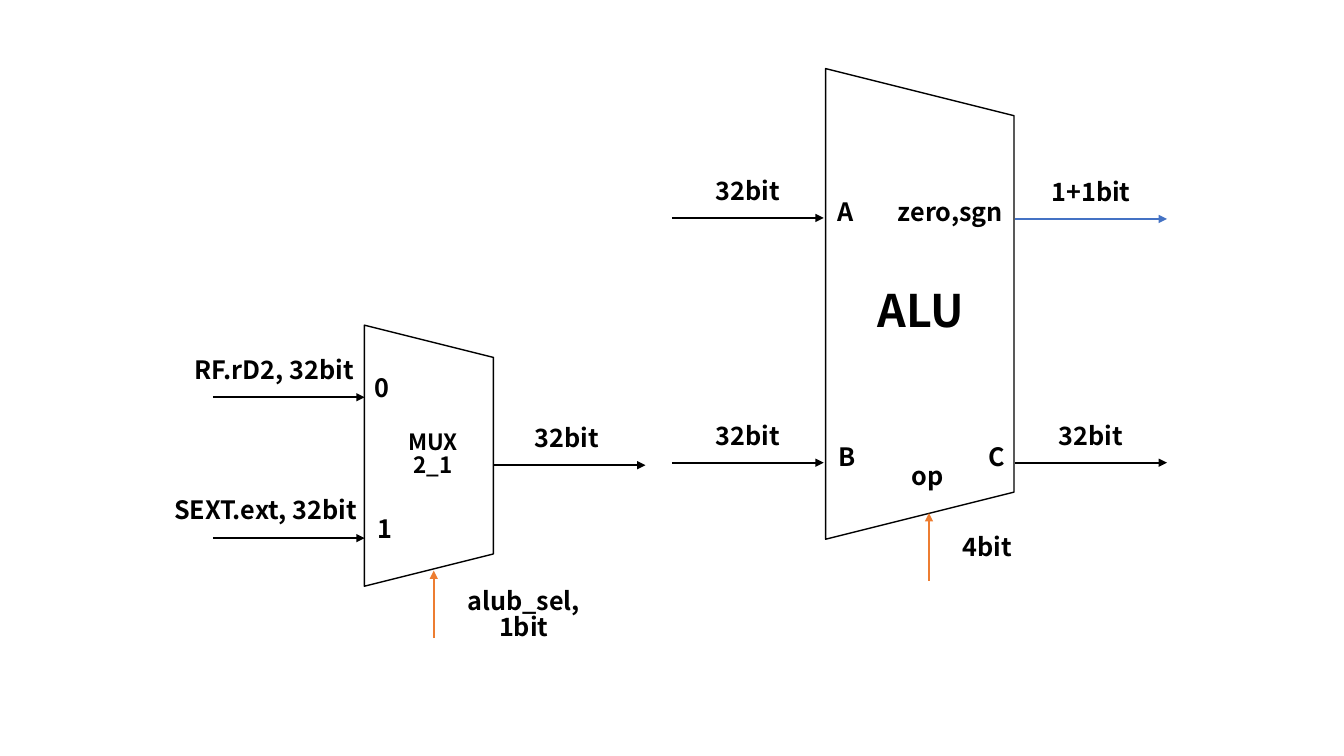
from lxml.etree import SubElement
from pptx import Presentation
from pptx.dml.color import RGBColor
from pptx.enum.shapes import MSO_CONNECTOR, MSO_SHAPE
from pptx.enum.text import MSO_AUTO_SIZE, PP_ALIGN
from pptx.oxml.ns import qn
from pptx.util import Pt

FONT = "Noto Sans CJK SC"
BLACK = RGBColor(0x00, 0x00, 0x00)
BLUE = RGBColor(0x44, 0x72, 0xC4)
ORANGE = RGBColor(0xED, 0x7D, 0x31)
LEFT, MID, RIGHT = PP_ALIGN.LEFT, PP_ALIGN.CENTER, PP_ALIGN.RIGHT
WIRE = 108.4  # length of a data wire
STEM = 48.2  # length of a control wire


def add_body(shapes, x, y, wide, high):
    """Draw a block outline: a trapezoid turned so its short side is right."""
    body = shapes.add_shape(
        MSO_SHAPE.TRAPEZOID, Pt(x), Pt(y), Pt(wide), Pt(high))
    body.rotation = 90
    body.shadow.inherit = False
    body.fill.background()
    body.line.color.rgb = BLACK
    body.line.width = Pt(1)


def add_label(shapes, text, x, y, wide, align=MID, size=18, high=28.8):
    """Write bold text, one paragraph per line of the string."""
    box = shapes.add_textbox(Pt(x), Pt(y), Pt(wide), Pt(high))
    frame = box.text_frame
    frame.word_wrap = True
    frame.auto_size = MSO_AUTO_SIZE.SHAPE_TO_FIT_TEXT
    frame.text = text
    for para in frame.paragraphs:
        para.alignment = align
        para.line_spacing = 0.84
        para.font.name = FONT
        para.font.size = Pt(size)
        para.font.bold = True
        para.font.color.rgb = BLACK


def add_arrow(shapes, x, y, dx=WIRE, dy=0, color=BLACK):
    """Draw a wire from (x, y) with an arrowhead at its end."""
    wire = shapes.add_connector(
        MSO_CONNECTOR.STRAIGHT, Pt(x), Pt(y), Pt(x + dx), Pt(y + dy))
    wire.line.color.rgb = color
    wire.line.width = Pt(1.5)
    SubElement(wire.line._get_or_add_ln(), qn("a:tailEnd"), type="triangle")
    SubElement(wire._element.spPr, qn("a:effectLst"))


def add_alu(shapes):
    """Draw the ALU with its ports and wires."""
    add_body(shapes, 488.9, 149.8, 336.2, 134.6)
    add_label(shapes, "ALU", 616.3, 204.5, 82.8, size=32, high=46)
    add_label(shapes, "A", 591.1, 140.4, 24.5, LEFT)
    add_label(shapes, "B", 591.8, 315.4, 24.5, LEFT)
    add_label(shapes, "C", 699.1, 315.4, 24.5, LEFT)
    add_label(shapes, "zero,sgn", 625, 140.4, 98.6, RIGHT)
    add_label(shapes, "op", 637.9, 329, 49.7)
    for text, x, y, color in (
        ("32bit", 480, 155.7, BLACK),
        ("32bit", 480, 330.5, BLACK),
        ("1+1bit", 725.2, 156.4, BLUE),
        ("32bit", 725.2, 330.5, BLACK),
    ):
        add_arrow(shapes, x, y, color=color)
        add_label(shapes, text, x + 7, y - 30.3, 94.3)
    add_arrow(shapes, 663.6, 414.7, 0, -STEM, ORANGE)
    add_label(shapes, "4bit", 663.8, 379.4, 82.8)


def add_mux(shapes):
    """Draw the two-way multiplexer with its ports and wires."""
    add_body(shapes, 213.1, 279.4, 186.5, 92.2)
    add_label(shapes, "MUX\n2_1", 278.6, 305.3, 61.9, size=16, high=46)
    for port, text, x, y in (
        ("0", "RF.rD2, 32bit", 108.7, 283.8),
        ("1", "SEXT.ext, 32bit", 110.9, 384.4),
    ):
        add_arrow(shapes, 152.1, y)
        add_label(shapes, text, x, y - 31, 151.2, RIGHT)
        add_label(shapes, port, x + 152, y - 17.7, 17.3, LEFT)
    add_arrow(shapes, 352.6, 332.3)
    add_label(shapes, "32bit", 364.3, 301.7, 81.4)
    add_arrow(shapes, 309.8, 455.8, 0, -STEM, ORANGE)
    add_label(shapes, "alub_sel, 1bit", 311.8, 418.3, 124.6)


def main():
    """Build the slide and save it."""
    deck = Presentation()
    deck.slide_width, deck.slide_height = Pt(960), Pt(540)
    slide = deck.slides.add_slide(deck.slide_layouts[6])
    for draw in (add_alu, add_mux):
        draw(slide.shapes.add_group_shape().shapes)
    deck.save("out.pptx")


main()
